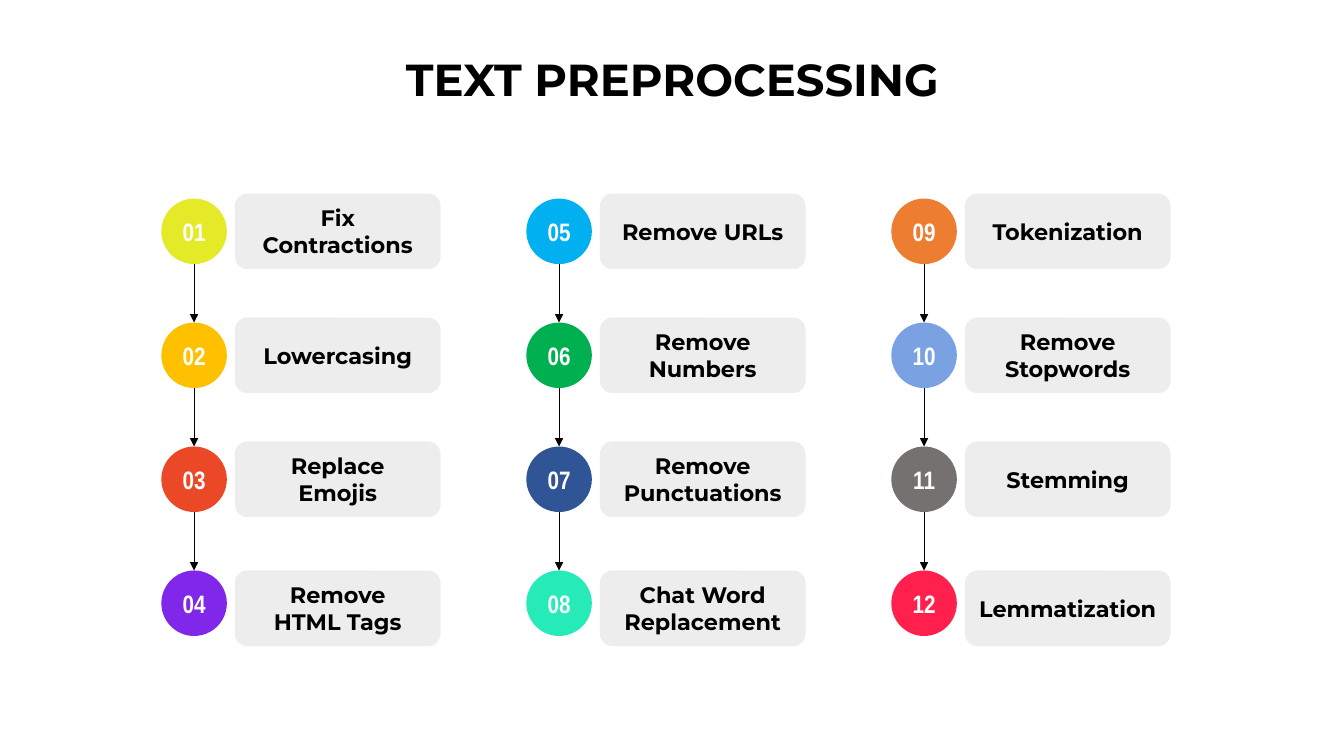
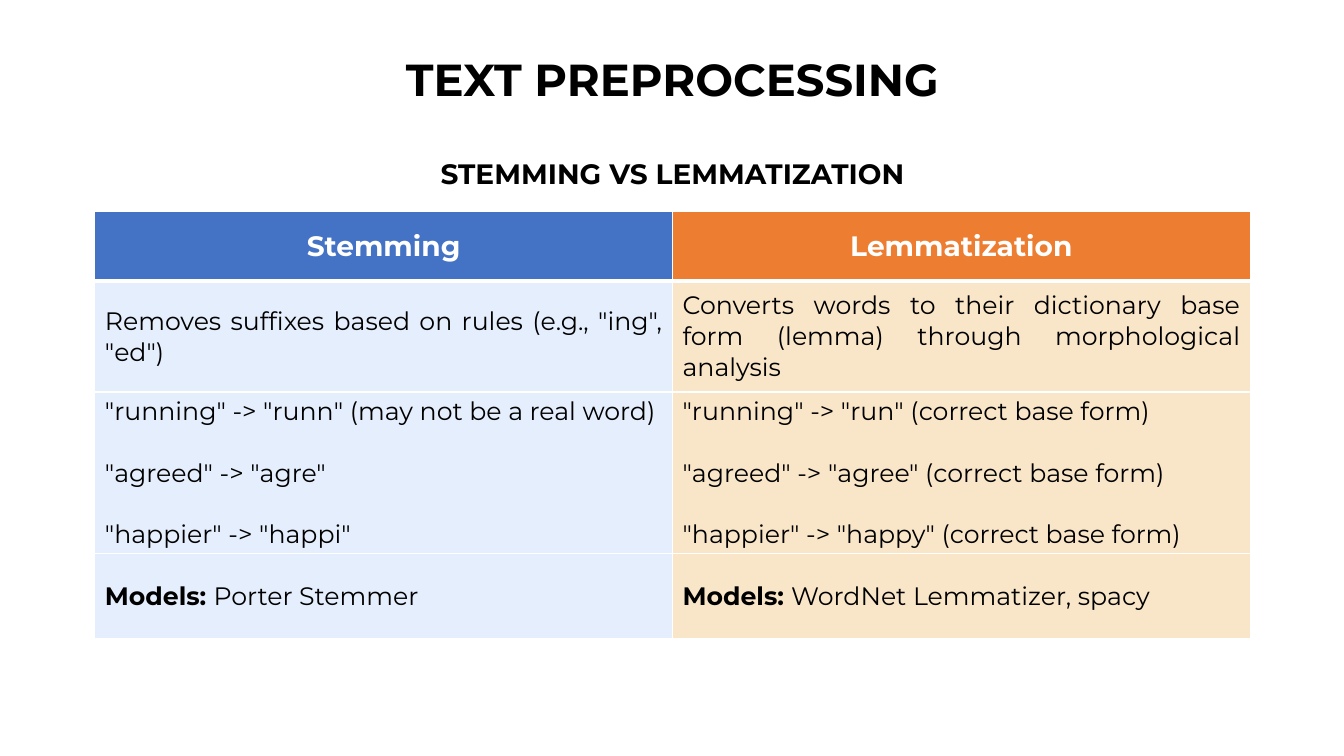
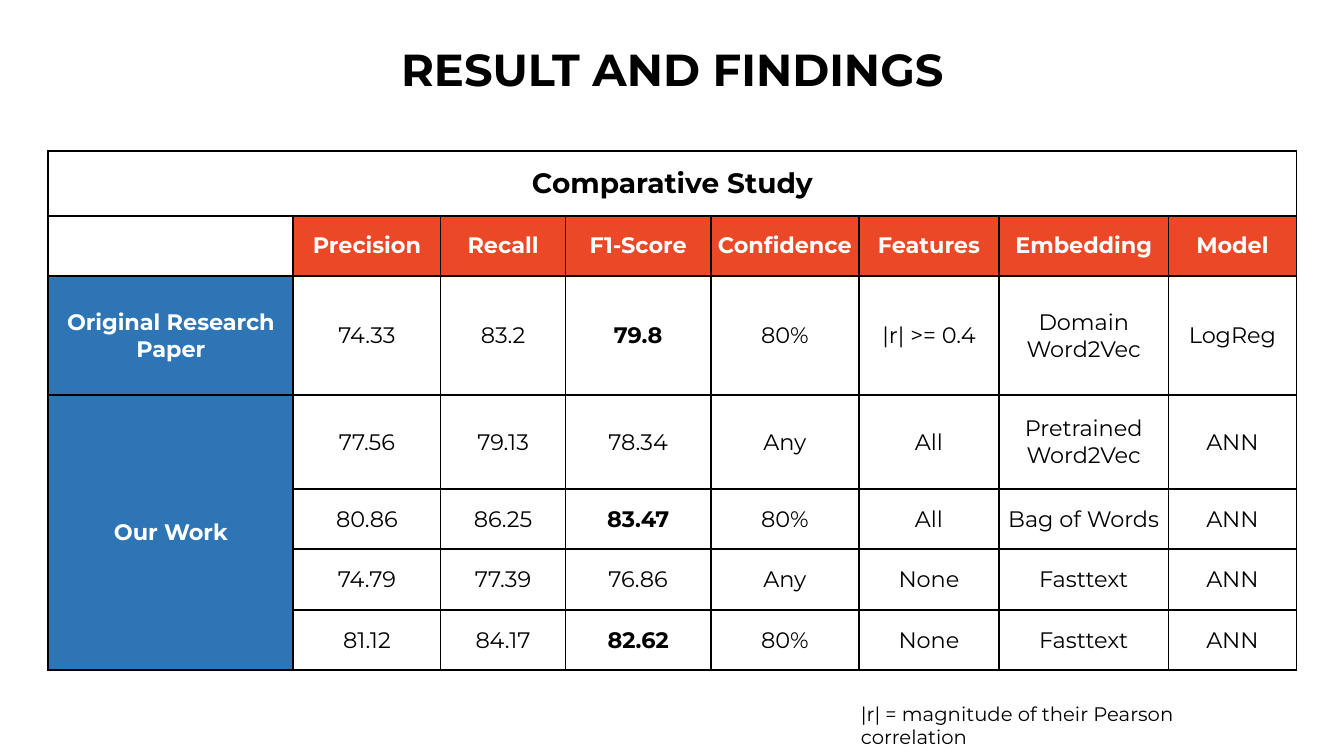
"""Build three slides on text preprocessing and its results."""
import lxml.etree
import pptx
import pptx.dml.color
import pptx.enum.shapes
import pptx.enum.text
import pptx.oxml.ns
import pptx.util

Inches, Pt = pptx.util.Inches, pptx.util.Pt
RGB = pptx.dml.color.RGBColor.from_string
SHAPE = pptx.enum.shapes.MSO_SHAPE
ALIGN = pptx.enum.text.PP_ALIGN
MIDDLE = pptx.enum.text.MSO_ANCHOR.MIDDLE
qn = pptx.oxml.ns.qn

FONT = "Montserrat"
COLORS = {
    "black": "000000", "white": "FFFFFF", "label": "EDEDED",
    "stem_head": "4472C4", "lemma_head": "ED7D31",
    "stem_body": "E5EEFC", "lemma_body": "F9E6C9",
    "metric": "EA4827", "study": "2E75B6",
}

STEP_COLUMNS = [
    [("Fix Contractions", "E4EA27"), ("Lowercasing", "FFC000"),
     ("Replace Emojis", "EA4827"), ("Remove\nHTML Tags", "8027EA")],
    [("Remove URLs", "00B0F0"), ("Remove Numbers", "00B050"),
     ("Remove Punctuations", "2F5597"), ("Chat Word Replacement", "26EAB8")],
    [("Tokenization", "ED7D31"), ("Remove Stopwords", "7AA2E3"),
     ("Stemming", "767171"), ("Lemmatization", "FF204E")],
]
STEP_LEFT, STEP_TOP, COLUMN_PITCH, ROW_PITCH = 1.6, 1.97, 3.62, 1.23
CIRCLE, LABEL_GAP, LABEL_W, LABEL_H = 0.65, 0.08, 2.04, 0.75
LABEL_SHIFTS = [-0.05, -0.05, -0.05, 0]

COMPARISON = [
    ("Stemming", "Lemmatization"),
    ('Removes suffixes based on rules (e.g., "ing", "ed")',
     "Converts words to their dictionary base form (lemma) through morphological analysis"),
    ('"running" -> "runn" (may not be a real word)\n"agreed" -> "agre"\n"happier" -> "happi"',
     '"running" -> "run" (correct base form)\n"agreed" -> "agree" (correct base form)\n'
     '"happier" -> "happy" (correct base form)'),
    ("Porter Stemmer", "WordNet Lemmatizer, spacy"),
]
COMPARISON_LEAD = "Models: "
COMPARISON_COLS = [5.73, 5.73]
COMPARISON_ROWS = [0.69, 1.1, 1.6, 0.85]

RESULTS = [
    ["Comparative Study"] + [""] * 7,
    ["", "Precision", "Recall", "F1-Score", "Confidence", "Features", "Embedding", "Model"],
    ["Original Research Paper", "74.33", "83.2", "79.8", "80%", "|r| >= 0.4",
     "Domain Word2Vec", "LogReg"],
    ["Our Work", "77.56", "79.13", "78.34", "Any", "All", "Pretrained Word2Vec", "ANN"],
    ["", "80.86", "86.25", "83.47", "80%", "All", "Bag of Words", "ANN"],
    ["", "74.79", "77.39", "76.86", "Any", "None", "Fasttext", "ANN"],
    ["", "81.12", "84.17", "82.62", "80%", "None", "Fasttext", "ANN"],
]
BEST_SCORES = {"79.8", "83.47", "82.62"}
RESULT_COLS = [2.43, 1.46, 1.24, 1.44, 1.47, 1.39, 1.68, 1.27]
RESULT_ROWS = [0.64, 0.6, 1.18, 0.93, 0.6, 0.6, 0.6]


def write(tf, text, size=16, color="black", bold=False, font=FONT,
          align=ALIGN.CENTER, gap=0, lead=""):
    """Write text, one paragraph a line, after an optional bold lead."""
    tf.word_wrap = True
    for i, line in enumerate(text.split("\n")):
        p = tf.paragraphs[0] if i == 0 else tf.add_paragraph()
        p.alignment = align
        p.space_before = Pt(gap if i else 0)
        for part, strong in ((lead, True), (line, bold)):
            if part:
                r = p.add_run()
                r.text = part
                r.font.name, r.font.size, r.font.bold = font, Pt(size), strong
                r.font.color.rgb = RGB(COLORS[color])


def add_slide(prs, title, top):
    """Add a slide with its centred title."""
    s = prs.slides.add_slide(prs.slide_layouts[5])
    sp = s.shapes.title
    sp.left, sp.top, sp.width, sp.height = map(Inches, (2.82, top, 7.7, 0.64))
    sp.text_frame.auto_size = pptx.enum.text.MSO_AUTO_SIZE.NONE
    sp.text_frame.vertical_anchor = MIDDLE
    write(sp.text_frame, title, size=32, bold=True)
    return s


def add_text(s, box, text, **fmt):
    """Add a text box."""
    write(s.shapes.add_textbox(*map(Inches, box)).text_frame, text, **fmt)


def add_node(s, kind, box, fill, text, **fmt):
    """Add a filled shape with centred text."""
    sp = s.shapes.add_shape(kind, *map(Inches, box))
    sp.shadow.inherit = False
    sp.fill.solid()
    sp.fill.fore_color.rgb = RGB(fill)
    sp.line.fill.background()
    tf = sp.text_frame
    tf.margin_left = tf.margin_right = tf.margin_top = tf.margin_bottom = Inches(0.1)
    tf.vertical_anchor = MIDDLE
    write(tf, text, bold=True, **fmt)


def add_arrow(s, x, top, bottom):
    """Add a thin downward arrow."""
    c = s.shapes.add_connector(pptx.enum.shapes.MSO_CONNECTOR.STRAIGHT,
                               *map(Inches, (x, top, x, bottom)))
    c.line.width = Pt(0.5)
    c.line.color.rgb = RGB(COLORS["black"])
    lxml.etree.SubElement(c.line._get_or_add_ln(), qn("a:tailEnd"), type="triangle")
    lxml.etree.SubElement(c._element.spPr, qn("a:effectLst"))


def add_table(s, left, top, cols, rows):
    """Add a table with the given column widths and row heights."""
    frame = s.shapes.add_table(len(rows), len(cols), *map(Inches, (left, top, sum(cols), sum(rows))))
    for col, width in zip(frame.table.columns, cols):
        col.width = Inches(width)
    for row, height in zip(frame.table.rows, rows):
        row.height = Inches(height)
    return frame.table


def style_cell(cell, fill, border, widths, margins):
    """Set fill, borders (left, right, top, bottom) and margins (side, end)."""
    cell.vertical_anchor = MIDDLE
    cell.margin_left = cell.margin_right = Inches(margins[0])
    cell.margin_top = cell.margin_bottom = Inches(margins[1])
    cell.fill.solid()
    cell.fill.fore_color.rgb = RGB(COLORS[fill])
    tcPr = cell._tc.get_or_add_tcPr()
    for i, (side, width) in enumerate(zip("LRTB", widths)):
        ln = lxml.etree.Element(qn("a:ln" + side), w=str(Pt(width)))
        solid = lxml.etree.SubElement(ln, qn("a:solidFill"))
        lxml.etree.SubElement(solid, qn("a:srgbClr"), val=COLORS[border])
        tcPr.insert(i, ln)


def build_steps(prs):
    """Draw the twelve numbered steps in three columns."""
    s = add_slide(prs, "TEXT PREPROCESSING", 0.46)
    for c, steps in enumerate(STEP_COLUMNS):
        x = STEP_LEFT + c * COLUMN_PITCH
        for i, (label, color) in enumerate(steps):
            y = STEP_TOP + i * ROW_PITCH
            number = c * len(steps) + i + 1
            add_node(s, SHAPE.OVAL, (x, y, CIRCLE, CIRCLE), color, f"{number:02}",
                     size=18, color="white", font="Arial Narrow")
            add_node(s, SHAPE.ROUNDED_RECTANGLE,
                     (x + CIRCLE + LABEL_GAP, y + LABEL_SHIFTS[i], LABEL_W, LABEL_H),
                     COLORS["label"], label)
            if i:
                add_arrow(s, x + CIRCLE / 2, y - ROW_PITCH + CIRCLE, y)


def build_comparison(prs):
    """Draw the stemming and lemmatization table."""
    s = add_slide(prs, "TEXT PREPROCESSING", 0.46)
    add_text(s, (2.82, 1.5, 7.7, 0.44), "STEMMING VS LEMMATIZATION", size=20, bold=True)
    table = add_table(s, 0.94, 2.1, COMPARISON_COLS, COMPARISON_ROWS)
    for i, row in enumerate(COMPARISON):
        for name, text, cell in zip(("stem", "lemma"), row, table.rows[i].cells):
            head = i == 0
            widths = (1, 1, 3 if i == 1 else 1, 3 if head else 1)
            style_cell(cell, name + ("_head" if head else "_body"), "white", widths, (0.1, 0.04))
            if head:
                write(cell.text_frame, text, size=20, color="white", bold=True)
            else:
                write(cell.text_frame, text, size=18, align=ALIGN.JUSTIFY, gap=22,
                      lead=COMPARISON_LEAD if i == len(COMPARISON) - 1 else "")


def build_results(prs):
    """Draw the comparative study table and its footnote."""
    s = add_slide(prs, "RESULT AND FINDINGS", 0.36)
    table = add_table(s, 0.48, 1.5, RESULT_COLS, RESULT_ROWS)
    for i, row in enumerate(RESULTS):
        for j, text in enumerate(row):
            cell = table.cell(i, j)
            fill = "metric" if i == 1 and j else "study" if i > 1 and j == 0 else "white"
            style_cell(cell, fill, "black", [1.5] * 4, (0.01, 0.01))
            if text:
                write(cell.text_frame, text, size=20 if i == 0 else 16,
                      color="black" if fill == "white" else "white",
                      bold=i < 2 or j == 0 or text in BEST_SCORES)
    table.cell(0, 0).merge(table.cell(0, len(RESULT_COLS) - 1))
    table.cell(3, 0).merge(table.cell(len(RESULTS) - 1, 0))
    add_text(s, (8.44, 6.91, 4.3, 0.34), "|r| = magnitude of their Pearson correlation",
             size=14, align=ALIGN.LEFT)


def main():
    """Build and save the presentation."""
    prs = pptx.Presentation()
    prs.slide_width, prs.slide_height = Inches(13.33), Inches(7.5)
    build_steps(prs)
    build_comparison(prs)
    build_results(prs)
    prs.save("out.pptx")


if __name__ == "__main__":
    main()
